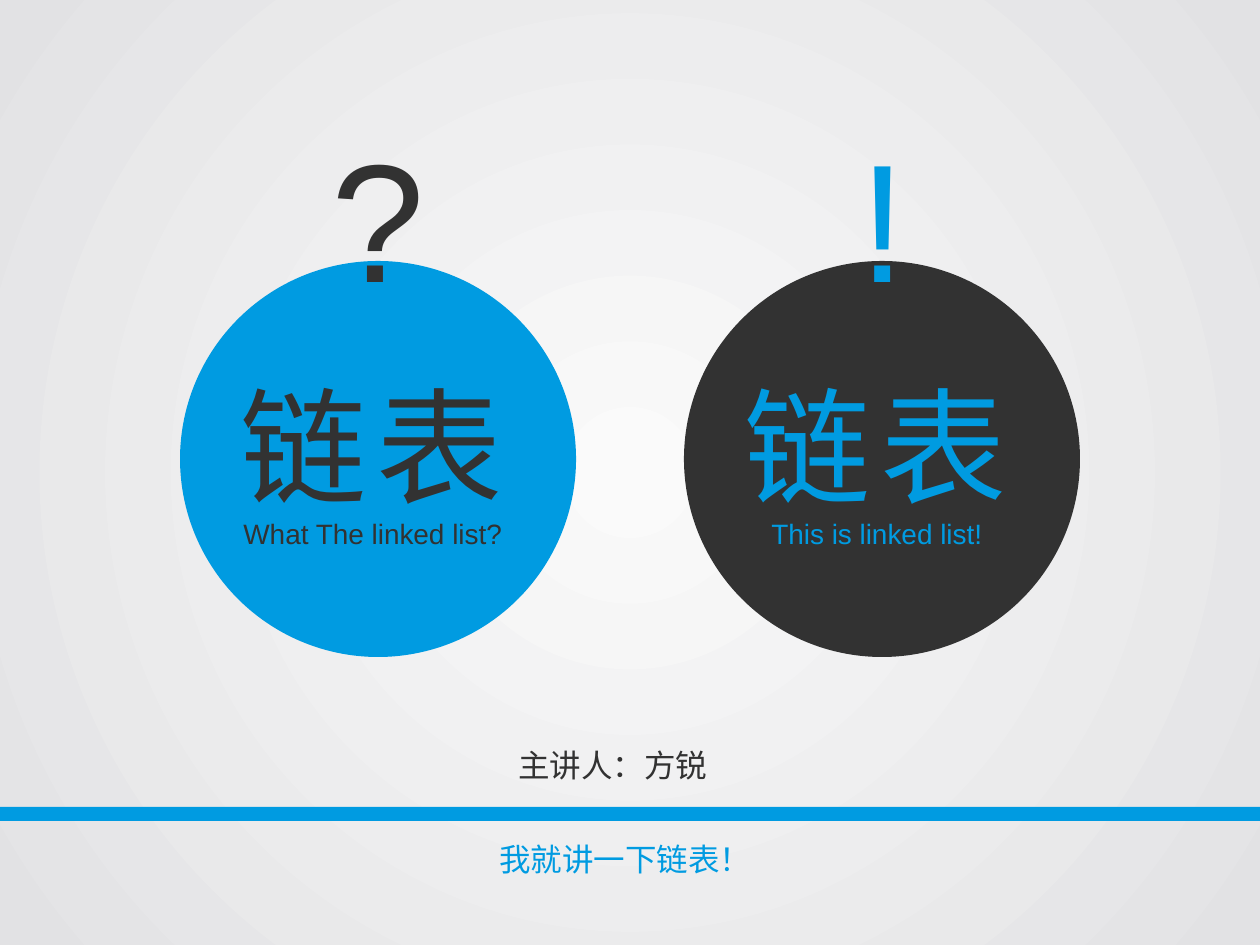
from lxml import etree
from pptx import Presentation
from pptx.dml.color import RGBColor
from pptx.enum.shapes import MSO_SHAPE
from pptx.enum.text import MSO_AUTO_SIZE
from pptx.oxml.ns import qn
from pptx.util import Emu, Pt

PX = 914400 // 126
WIDTH, HEIGHT = 1260, 945
OVAL, RECTANGLE = MSO_SHAPE.OVAL, MSO_SHAPE.RECTANGLE
FIT_SHAPE = MSO_AUTO_SIZE.SHAPE_TO_FIT_TEXT
BLUE, DARK = "009BE1", "323232"
LATIN, CHINESE = "Arial", "Noto Sans CJK SC"
DIAMETER, BADGE_TOP = 396, 261


def px(*lengths):
    return [Emu(length * PX) for length in lengths]


def rgb(hex_color):
    return RGBColor.from_string(hex_color)


def radial_background(slide, inner, outer):
    fill = slide.background.fill
    fill.gradient()
    for stop, color in zip(fill.gradient_stops, (inner, outer)):
        stop.color.rgb = rgb(color)
    gradient = next(slide.element.iter(qn("a:gradFill")))
    gradient.remove(gradient.find(qn("a:lin")))
    circle = etree.SubElement(gradient, qn("a:path"), path="circle")
    etree.SubElement(circle, qn("a:fillToRect"),
                     dict.fromkeys("ltrb", "50000"))


def add_solid(shapes, kind, box, color):
    solid = shapes.add_shape(kind, *px(*box))
    solid.shadow.inherit = False
    solid.fill.solid()
    solid.fill.fore_color.rgb = rgb(color)
    solid.line.fill.background()


def add_label(shapes, box, text, size, color, face=LATIN, spacing=0):
    frame = shapes.add_textbox(*px(*box)).text_frame
    frame.word_wrap = False
    frame.auto_size = FIT_SHAPE
    paragraph = frame.paragraphs[0]
    run = paragraph.add_run()
    run.text = text
    paragraph.font.size = Pt(size)
    paragraph.font.name = face
    paragraph.font.color.rgb = rgb(color)
    properties = run.font._element
    if face == CHINESE:
        etree.SubElement(properties, qn("a:ea"), typeface=face)
    if spacing:
        properties.set("spc", str(spacing * 100))


def add_badge(slide, left, fill, ink, mark, mark_width, caption, caption_width):
    badge = slide.shapes.add_group_shape().shapes
    center = left + DIAMETER // 2
    add_solid(badge, OVAL, (left, BADGE_TOP, DIAMETER, DIAMETER), fill)
    add_label(badge, (center - 150, 362, 301, 165), "链表", 72, ink, CHINESE, 6)
    add_label(badge, (center - 4 - caption_width // 2, 510, caption_width, 47),
              caption, 16, ink)
    add_label(badge, (center + 1 - mark_width // 2, 108, mark_width, 217),
              mark, 96, ink)


def main():
    deck = Presentation()
    deck.slide_width, deck.slide_height = px(WIDTH, HEIGHT)
    slide = deck.slides.add_slide(deck.slide_layouts[6])
    radial_background(slide, "FAFAFA", "E2E2E4")
    add_solid(slide.shapes, RECTANGLE, (0, 807, WIDTH, 14), BLUE)
    add_label(slide.shapes, (506, 740, 217, 50), "主讲人：方锐", 18, DARK, CHINESE)
    add_badge(slide, 180, BLUE, DARK, "?", 120, "What The linked list?", 287)
    add_badge(slide, 684, DARK, BLUE, "!", 73, "This is linked list!", 239)
    add_label(slide.shapes, (487, 834, 280, 50), "我就讲一下链表！", 18, BLUE, CHINESE)
    deck.save("out.pptx")


main()
